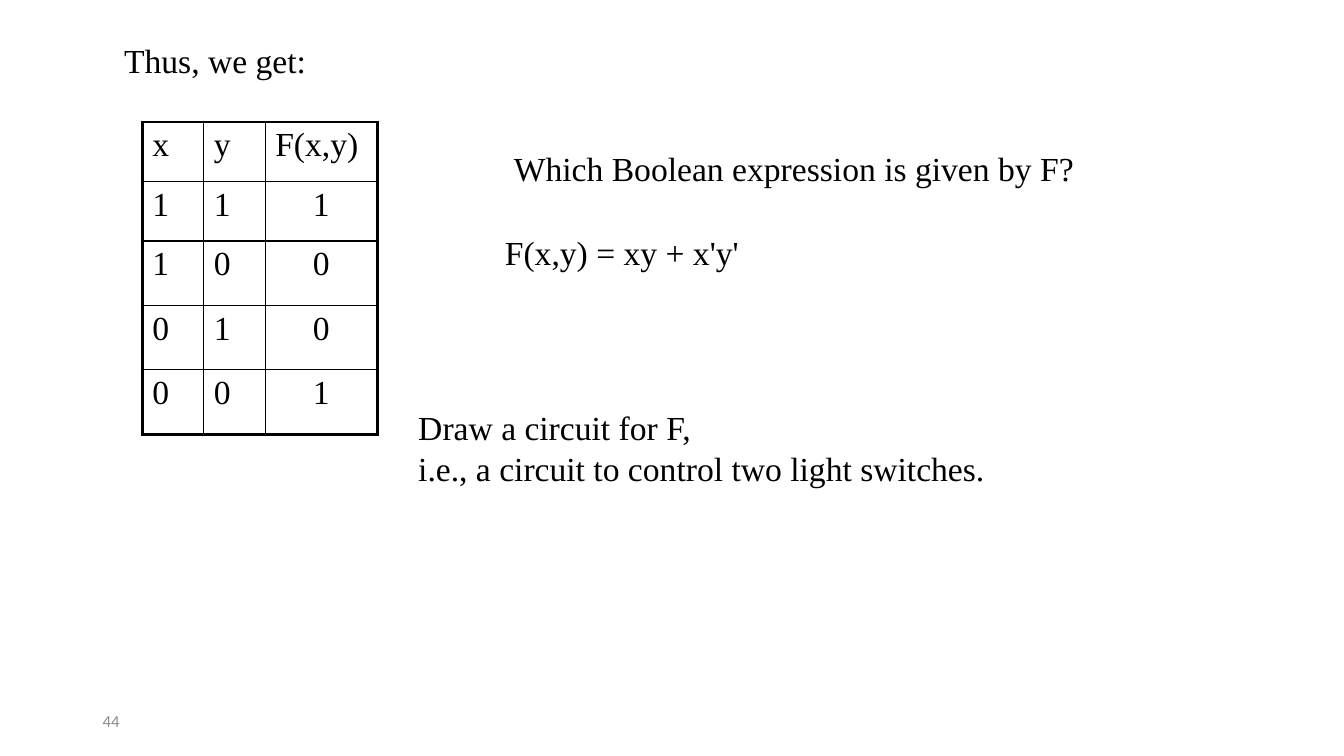
from pptx import Presentation
from pptx.dml.color import RGBColor
from pptx.enum.text import MSO_ANCHOR, MSO_AUTO_SIZE, PP_ALIGN
from pptx.oxml import parse_xml
from pptx.oxml.ns import nsdecls
from pptx.util import Inches, Pt

prs = Presentation()
prs.slide_width, prs.slide_height = Inches(13.33), Inches(7.5)
s = prs.slides.add_slide(prs.slide_layouts[5])


def place(left, top, width, height):
    w, h = prs.slide_width / 100, prs.slide_height / 100
    return int(left * w), int(top * h), int(width * w), int(height * h)


def style(tf, size=24, name="Times New Roman", color="000000", align=PP_ALIGN.LEFT):
    for p in tf.paragraphs:
        p.alignment = align
        for r in p.runs:
            r.font.size, r.font.name, r.font.bold = Pt(size), name, False
            r.font.color.rgb = RGBColor.from_string(color)


title = s.shapes.title
title.left, title.top, title.width, title.height = place(8.48, 4.67, 15.08, 6.67)
tf = title.text_frame
tf.text = "Thus, we get:"
tf.word_wrap = False
tf.auto_size = MSO_AUTO_SIZE.NONE
tf.vertical_anchor = MSO_ANCHOR.TOP
style(tf)

truth_table = [
    ["x", "y", "F(x,y)"],
    ["1", "1", "1"],
    ["1", "0", "0"],
    ["0", "1", "0"],
    ["0", "0", "1"],
]
n_rows, n_cols = len(truth_table), len(truth_table[0])
table = s.shapes.add_table(n_rows, n_cols, *place(10.58, 16.13, 17.49, 41.33)).table
table.first_row = table.horz_banding = False
for col, share in zip(table.columns, [4.58, 4.58, 8.33]):
    col.width = int(prs.slide_width * share / 100)
for row, share in zip(table.rows, [7.87, 7.87, 8.53, 8.53, 8.53]):
    row.height = int(prs.slide_height * share / 100)

for i, values in enumerate(truth_table):
    for j, value in enumerate(values):
        cell = table.cell(i, j)
        cell.text = value
        centred = i > 0 and j == n_cols - 1
        style(cell.text_frame, align=PP_ALIGN.CENTER if centred else PP_ALIGN.LEFT)
        outer = {"L": j == 0, "R": j == n_cols - 1, "T": i == 0, "B": i == n_rows - 1}
        tcPr = cell._tc.get_or_add_tcPr()
        for side, is_outer in outer.items():
            width = Pt(2.25 if is_outer else 1)
            tcPr.append(parse_xml(
                f'<a:ln{side} {nsdecls("a")} w="{width}"><a:solidFill>'
                f'<a:srgbClr val="000000"/></a:solidFill></a:ln{side}>'))
        cell.fill.background()

notes = [
    ("Which Boolean expression is given by F?", (37.5, 18.93, 43.5, 6.67), False),
    ("Draw a circuit for F,\ni.e., a circuit to control two light switches.",
     (30.38, 53.2, 59.48, 12.13), True),
    ("F(x,y) = xy + x'y'", (36.83, 30, 19.05, 6.67), False),
]
for text, box, wrap in notes:
    tf = s.shapes.add_textbox(*place(*box)).text_frame
    tf.text = text
    tf.word_wrap = wrap
    style(tf)

tf = s.shapes.add_textbox(*place(6.9, 92.67, 22.5, 5.33)).text_frame
tf.text = "44"
tf.word_wrap = True
tf.vertical_anchor = MSO_ANCHOR.MIDDLE
style(tf, 12, "Calibri", "8C8C8C")

prs.save("out.pptx")
